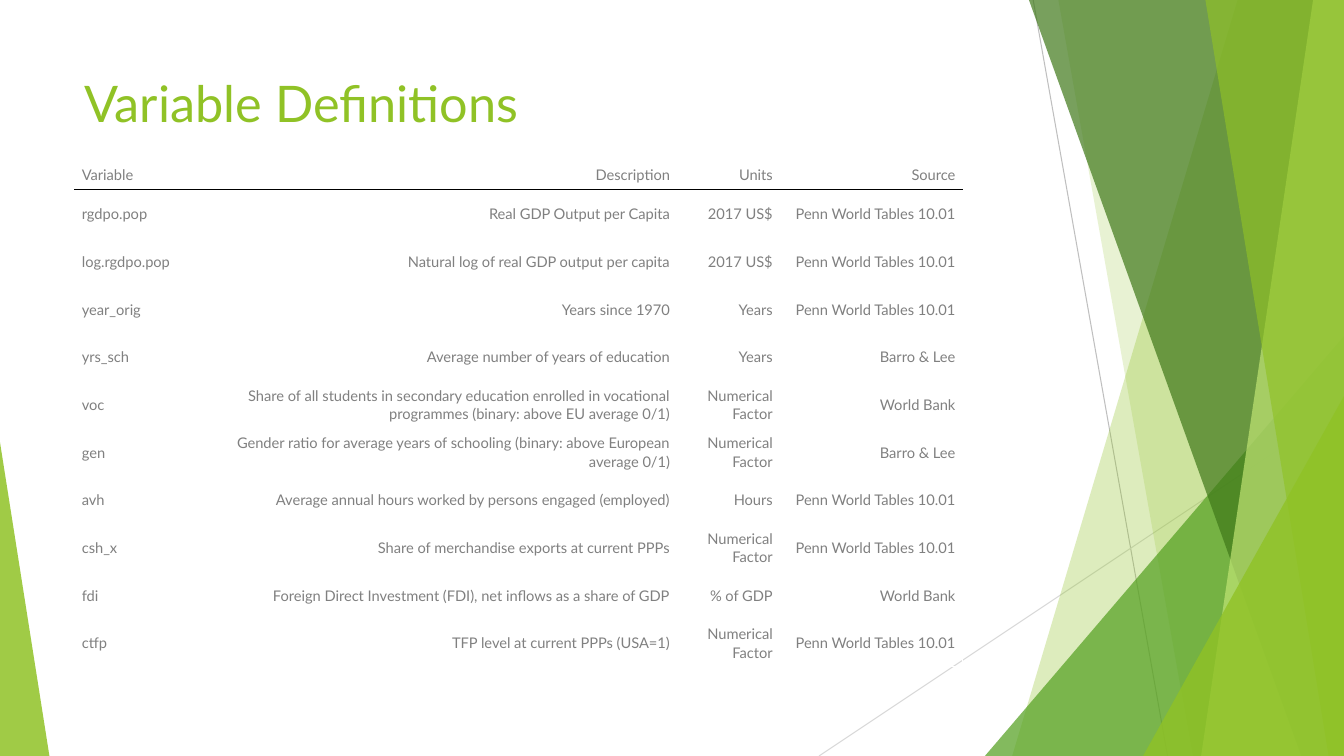
"""Build a slide with a table of variable definitions beside green facets."""
import lxml.etree
import pptx
import pptx.dml.color
import pptx.enum.shapes
import pptx.enum.text
import pptx.oxml
import pptx.oxml.ns
import pptx.util

Pt = pptx.util.Pt
Color = pptx.dml.color.RGBColor
Align = pptx.enum.text.PP_ALIGN
Anchor = pptx.enum.text.MSO_ANCHOR
qn = pptx.oxml.ns.qn

LIME = Color(0x90, 0xC2, 0x26)
PALE_LIME = Color(0xC0, 0xE4, 0x74)
GREEN = Color(0x54, 0xA0, 0x21)
DARK_GREEN = Color(0x3F, 0x78, 0x19)
GRAY = Color(0x80, 0x80, 0x80)
SILVER = Color(0xBF, 0xBF, 0xBF)
LIGHT_GRAY = Color(0xD9, 0xD9, 0xD9)
WHITE = Color(0xFF, 0xFF, 0xFF)
BLACK = Color(0, 0, 0)

WIDTH, HEIGHT = 960, 540
PENN = "Penn World Tables 10.01"
FACTOR = "Numerical Factor"
COLUMN_WIDTHS = (90.7, 339.8, 73.4, 130.5)
HEADER_HEIGHT, ROW_HEIGHT = 22.4, 34.05
VARIABLES = (
    ("Variable", "Description", "Units", "Source"),
    ("rgdpo.pop", "Real GDP Output per Capita", "2017 US$", PENN),
    ("log.rgdpo.pop", "Natural log of real GDP output per capita", "2017 US$", PENN),
    ("year_orig", "Years since 1970", "Years", PENN),
    ("yrs_sch", "Average number of years of education", "Years", "Barro & Lee"),
    ("voc", "Share of all students in secondary education enrolled in vocational "
     "programmes (binary: above EU average 0/1)", FACTOR, "World Bank"),
    ("gen", "Gender ratio for average years of schooling (binary: above European "
     "average 0/1)", FACTOR, "Barro & Lee"),
    ("avh", "Average annual hours worked by persons engaged (employed)", "Hours", PENN),
    ("csh_x", "Share of merchandise exports at current PPPs", FACTOR, PENN),
    ("fdi", "Foreign Direct Investment (FDI), net inflows as a share of GDP",
     "% of GDP", "World Bank"),
    ("ctfp", "TFP level at current PPPs (USA=1)", FACTOR, PENN),
)


def apply(target, values):
    for name, value in values.items():
        setattr(target, name, value)


class SlideBuilder:
    def __init__(self, slide, font_name):
        self.shapes = slide.shapes
        self.font_name = font_name

    def add_text(self, para, text, size, color, **format_values):
        apply(para, format_values)
        span = para.add_run()
        span.text = text
        apply(span.font, {"name": self.font_name, "size": Pt(size)})
        span.font.color.rgb = color

    def paint(self, shape, color, opacity):
        shape.shadow.inherit = False
        shape.line.fill.background()
        shape.fill.solid()
        shape.fill.fore_color.rgb = color
        solid = shape._element.spPr.find(qn("a:solidFill"))
        lxml.etree.SubElement(solid[0], qn("a:alpha"), val=str(opacity * 1000))

    def line(self, start, end, color):
        ends = [Pt(length) for length in (*start, *end)]
        line = self.shapes.add_connector(
            pptx.enum.shapes.MSO_CONNECTOR.STRAIGHT, *ends)
        line.line.width = Pt(0.75)
        line.line.color.rgb = color
        lxml.etree.SubElement(line._element.spPr, qn("a:effectLst"))

    def facet(self, top_left, bottom_left, color, opacity):
        corners = ((WIDTH, 0), (WIDTH, HEIGHT), (bottom_left, HEIGHT))
        outline = self.shapes.build_freeform(Pt(top_left), Pt(0))
        outline.add_line_segments([(Pt(x), Pt(y)) for x, y in corners])
        self.paint(outline.convert_to_shape(), color, opacity)

    def triangle(self, left, top, width, apex, color, opacity):
        shape = self.shapes.add_shape(
            pptx.enum.shapes.MSO_SHAPE.ISOSCELES_TRIANGLE,
            Pt(left), Pt(top), Pt(width), Pt(HEIGHT - top))
        shape.adjustments[0] = apex
        self.paint(shape, color, opacity)

    def title(self, text, left, top, width, height):
        box = self.shapes.add_textbox(Pt(left), Pt(top), Pt(width), Pt(height))
        apply(box.text_frame, {"word_wrap": True, "vertical_anchor": Anchor.TOP})
        self.add_text(box.text_frame.paragraphs[0], text, 36, LIME)

    def border(self, cell, colors):
        properties = cell._tc.get_or_add_tcPr()
        for index, (side, color) in enumerate(zip("LRTB", colors)):
            edge = pptx.oxml.parse_xml(
                f'<a:ln{side} {pptx.oxml.ns.nsdecls("a")} w="{Pt(1)}"><a:solidFill>'
                f'<a:srgbClr val="{color}"/></a:solidFill></a:ln{side}>')
            properties.insert(index, edge)

    def table(self, rows, left, top):
        height = HEADER_HEIGHT + ROW_HEIGHT * (len(rows) - 1)
        table = self.shapes.add_table(
            len(rows), len(COLUMN_WIDTHS), Pt(left), Pt(top),
            Pt(sum(COLUMN_WIDTHS)), Pt(height)).table
        apply(table, {"first_row": False, "horz_banding": False})
        for column, width in zip(table.columns, COLUMN_WIDTHS):
            column.width = Pt(width)
        for r, values in enumerate(rows):
            table.rows[r].height = Pt(ROW_HEIGHT if r else HEADER_HEIGHT)
            above = BLACK if r == 1 else WHITE
            below = BLACK if r == 0 else WHITE
            for c, text in enumerate(values):
                cell = table.cell(r, c)
                apply(cell, {"vertical_anchor": Anchor.MIDDLE,
                             "margin_left": Pt(5.2), "margin_right": Pt(5.2),
                             "margin_top": 0, "margin_bottom": 0})
                cell.fill.background()
                self.border(cell, (WHITE, WHITE, above, below))
                self.add_text(cell.text_frame.paragraphs[0], text, 10.5, GRAY,
                              alignment=Align.RIGHT if c else Align.LEFT,
                              line_spacing=1.07, space_after=Pt(8))


def main():
    deck = pptx.Presentation()
    apply(deck, {"slide_width": Pt(WIDTH), "slide_height": Pt(HEIGHT)})
    page = SlideBuilder(deck.slides.add_slide(deck.slide_layouts[6]), "Lato")
    page.line((738, 0), (834, HEIGHT), SILVER)
    page.line((WIDTH, 290), (585, HEIGHT), LIGHT_GRAY)
    page.facet(884, 723, LIME, 30)
    page.facet(756, 852, LIME, 20)
    page.triangle(703.5, 240, 256.5, 1, GREEN, 72)
    page.facet(735, 929.5, DARK_GREEN, 70)
    page.facet(938, 858, PALE_LIME, 70)
    page.facet(861, 949, LIME, 65)
    page.triangle(816.5, 283, 143.5, 1, LIME, 80)
    page.triangle(0, 316, 35.3, 0, LIME, 85)
    page.title("Variable Definitions", 53.3, 48, 677, 104)
    page.table(VARIABLES, 53.3, 113.2)
    deck.save("out.pptx")


if __name__ == "__main__":
    main()
